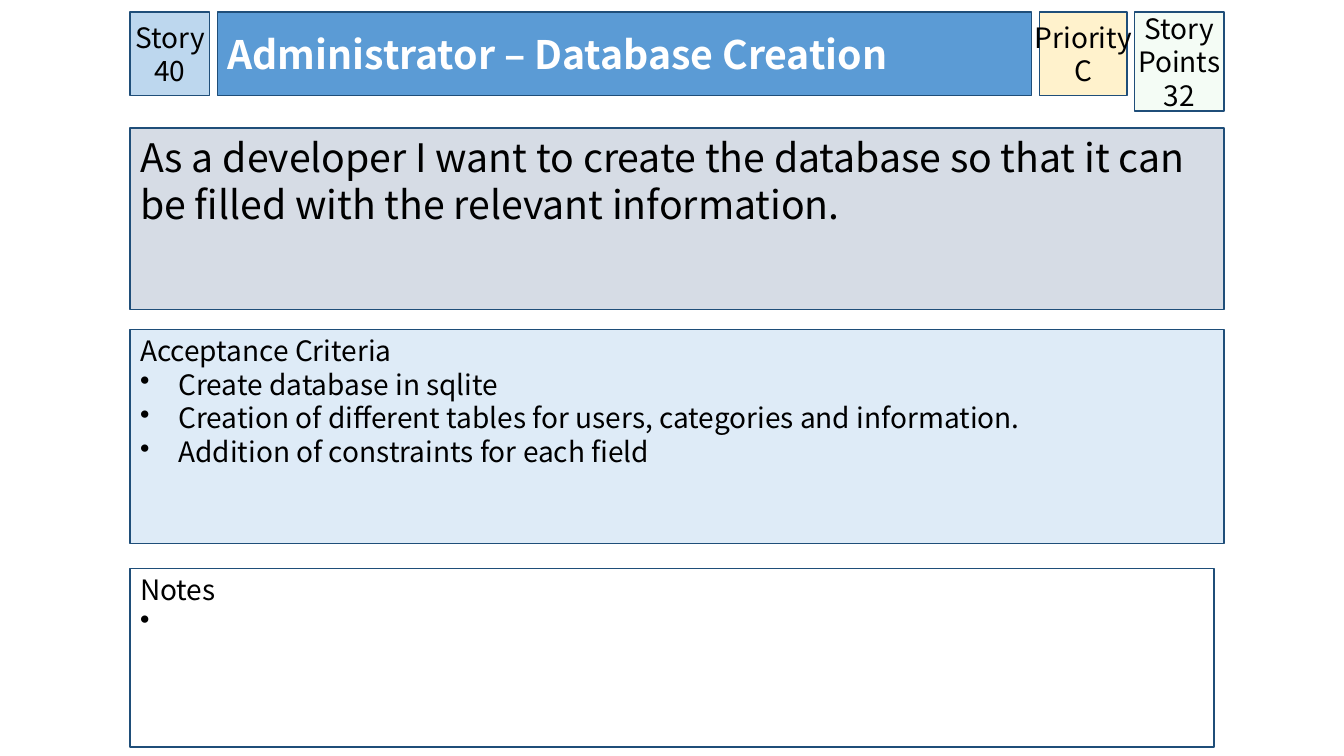
from lxml.etree import SubElement
from pptx import Presentation
from pptx.dml.color import RGBColor
from pptx.enum.shapes import MSO_SHAPE as Shape
from pptx.enum.text import MSO_ANCHOR as Anchor, PP_ALIGN as Align
from pptx.oxml.ns import qn
from pptx.util import Inches, Pt

FONT = "Noto Sans CJK KR"
LEFT, TOP = 1.29, 0.12
BADGE = {"align": Align.CENTER, "anchor": Anchor.MIDDLE, "margins": (0, 0.05)}
HEADING = {"anchor": Anchor.MIDDLE, "size": 28, "color": "FFFFFF", "bold": True}
LIST = {"margins": (0.1, 0.04)}

CARDS = [
    ((LEFT, TOP, 0.79, 0.83), "BDD7EE", ["Story 40"], BADGE),
    ((2.16, TOP, 8.07, 0.83), "5B9BD5", ["Administrator – Database Creation"], HEADING),
    ((LEFT, 1.27, 10.85, 1.8), "D6DCE5",
     ["As a developer I want to create the database so that it can be filled "
      "with the relevant information."], {"size": 28}),
    ((LEFT, 3.27, 10.85, 2.12), "DEEBF7",
     ["Acceptance Criteria", "Create database in sqlite",
      "Creation of different tables for users, categories and information.",
      "Addition of constraints for each field"], {**LIST, "indent": 0.38}),
    ((11.25, TOP, 0.89, 0.98), "CCF0CD", ["Story Points", "32"], {**BADGE, "opacity": 20}),
    ((10.31, TOP, 0.87, 0.83), "FFF2CC", ["Priority", "C"], {**BADGE, "wrap": False}),
    ((LEFT, 5.64, 10.75, 1.77), "FFFFFF", ["Notes", " "], {**LIST, "indent": 0.2}),
]


def paint(target, color):
    target.rgb = RGBColor.from_string(color)


def apply(target, values):
    for name, value in values.items():
        setattr(target, name, value)


def add_bullet(para, indent):
    properties = para._p.get_or_add_pPr()
    properties.set("marL", str(Inches(indent)))
    properties.set("indent", str(-Inches(indent)))
    SubElement(properties, qn("a:buChar"), char="•")


def add_card(page, place, fill, lines, style):
    box = page.shapes.add_shape(Shape.RECTANGLE, *map(Inches, place))
    box.shadow.inherit = False
    box.fill.solid()
    paint(box.fill.fore_color, fill)
    if "opacity" in style:
        color = box._element.spPr.find(qn("a:solidFill"))[0]
        SubElement(color, qn("a:alpha"), val=str(style["opacity"] * 1000))
    paint(box.line.color, "1F4E79")
    box.line.width = Pt(1)

    side, upper = style.get("margins", (0.1, 0.05))
    frame = box.text_frame
    apply(frame, {
        "word_wrap": style.get("wrap", True),
        "vertical_anchor": style.get("anchor", Anchor.TOP),
        "margin_left": Inches(side), "margin_right": Inches(side),
        "margin_top": Inches(upper), "margin_bottom": Inches(0.05),
    })
    for number, line in enumerate(lines):
        para = frame.add_paragraph() if number else frame.paragraphs[0]
        para.alignment = style.get("align", Align.LEFT)
        if number and "indent" in style:
            add_bullet(para, style["indent"])
        span = para.add_run()
        span.text = line
        apply(span.font, {"name": FONT, "size": Pt(style.get("size", 20)),
                          "bold": style.get("bold", False)})
        paint(span.font.color, style.get("color", "000000"))


deck = Presentation()
apply(deck, {"slide_width": Inches(13.33), "slide_height": Inches(7.5)})
page = deck.slides.add_slide(deck.slide_layouts[6])
for card in CARDS:
    add_card(page, *card)
deck.save("out.pptx")
